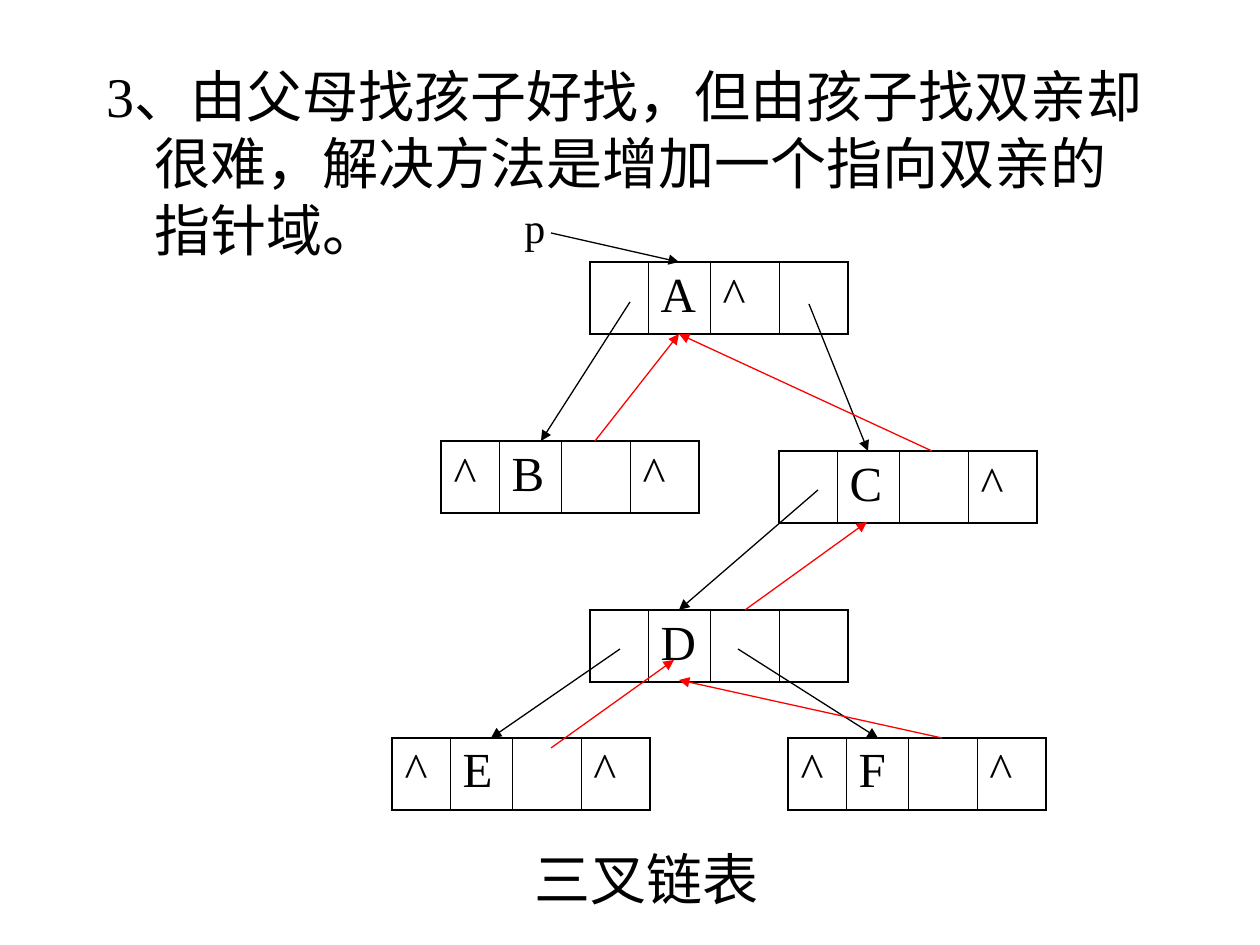
from lxml import etree
from pptx import Presentation
from pptx.dml.color import RGBColor
from pptx.enum.shapes import MSO_CONNECTOR
from pptx.enum.text import PP_ALIGN
from pptx.oxml import parse_xml
from pptx.oxml.ns import nsdecls, qn
from pptx.util import Emu, Pt

SCALE = 914400 / 126
THEME = {
    "font": "Times New Roman",
    "black": RGBColor(0, 0, 0),
    "red": RGBColor(255, 0, 0),
    "body": Pt(32),
    "node": Pt(28),
    "pointer": Pt(24),
    "arrow": Pt(0.75),
    "outer": Pt(1.08),
    "inner": Pt(0.45),
}


def px(length):
    """Turn pixels into EMU."""
    return Emu(round(length * SCALE))


def write_text(text_frame, text, size):
    paragraph = text_frame.paragraphs[0]
    paragraph.alignment = PP_ALIGN.LEFT
    run = paragraph.add_run()
    run.text = text
    run.font.color.rgb = THEME["black"]
    for name, value in {"name": THEME["font"], "size": size}.items():
        setattr(run.font, name, value)
    return paragraph


presentation = Presentation()
presentation.slide_width, presentation.slide_height = px(1260), px(945)
slide = presentation.slides.add_slide(presentation.slide_layouts[6])

# Explanation, pointer name and caption: text, box, size, hanging indent
texts = [
    ("3、由父母找孩子好找，但由孩子找双亲却很难，解决方法是增加一个指向双亲的指针域。",
     (94, 55, 1071, 852), "body", 48),
    ("p", (512, 195, 45, 63), "pointer", 0),
    ("三叉链表", (522, 838, 344, 81), "body", 48),
]
for text, box, size, hanging in texts:
    shape = slide.shapes.add_textbox(*map(px, box))
    shape.text_frame.word_wrap = True
    paragraph = write_text(shape.text_frame, text, THEME[size])
    if hanging:
        properties = paragraph._p.get_or_add_pPr()
        properties.set("marL", str(px(hanging)))
        properties.set("indent", str(px(-hanging)))

# Nodes: left, top, then left child, data, parent and right child fields
ROW_HEIGHT = 72
COLUMN_WIDTHS = [58, 62, 69, 69]
nodes = [
    (590, 262, ["", "A", "^", ""]),
    (392, 738, ["^", "E", "", "^"]),
    (788, 738, ["^", "F", "", "^"]),
    (590, 610, ["", "D", "", ""]),
    (441, 441, ["^", "B", "", "^"]),
    (779, 451, ["", "C", "", "^"]),
]
for left, top, fields in nodes:
    frame = slide.shapes.add_table(
        1, len(fields), px(left), px(top), px(sum(COLUMN_WIDTHS)), px(ROW_HEIGHT))
    table = frame.table
    for name in ("first_row", "horz_banding"):
        setattr(table, name, False)
    for index, field in enumerate(fields):
        table.columns[index].width = px(COLUMN_WIDTHS[index])
        cell = table.cell(0, index)
        cell.fill.background()
        if field:
            write_text(cell.text_frame, field, THEME["node"])
        borders = {
            "lnL": "outer" if index == 0 else "inner",
            "lnR": "outer" if index == len(fields) - 1 else "inner",
            "lnT": "outer",
            "lnB": "outer",
        }
        for position, (tag, weight) in enumerate(borders.items()):
            border = parse_xml(
                f'<a:{tag} {nsdecls("a")} w="{THEME[weight]}"><a:solidFill>'
                f'<a:srgbClr val="{THEME["black"]}"/></a:solidFill></a:{tag}>')
            cell._tc.get_or_add_tcPr().insert(position, border)

# Arrows from a pointer field to a node: black to children, red to parents
arrows = {
    "black": [
        (630, 302, 541, 441),
        (809, 304, 868, 451),
        (818, 490, 679, 610),
        (620, 649, 491, 738),
        (738, 649, 878, 738),
        (551, 233, 679, 262),
    ],
    "red": [
        (932, 451, 679, 334),
        (595, 441, 679, 334),
        (745, 610, 867, 522),
        (551, 748, 674, 660),
        (942, 738, 679, 680),
    ],
}
for color, routes in arrows.items():
    for route in routes:
        connector = slide.shapes.add_connector(MSO_CONNECTOR.STRAIGHT, *map(px, route))
        connector.line.color.rgb = THEME[color]
        connector.line.width = THEME["arrow"]
        etree.SubElement(connector.line._get_or_add_ln(), qn("a:tailEnd"), type="triangle")
        etree.SubElement(connector._element.spPr, qn("a:effectLst"))

presentation.save("out.pptx")
